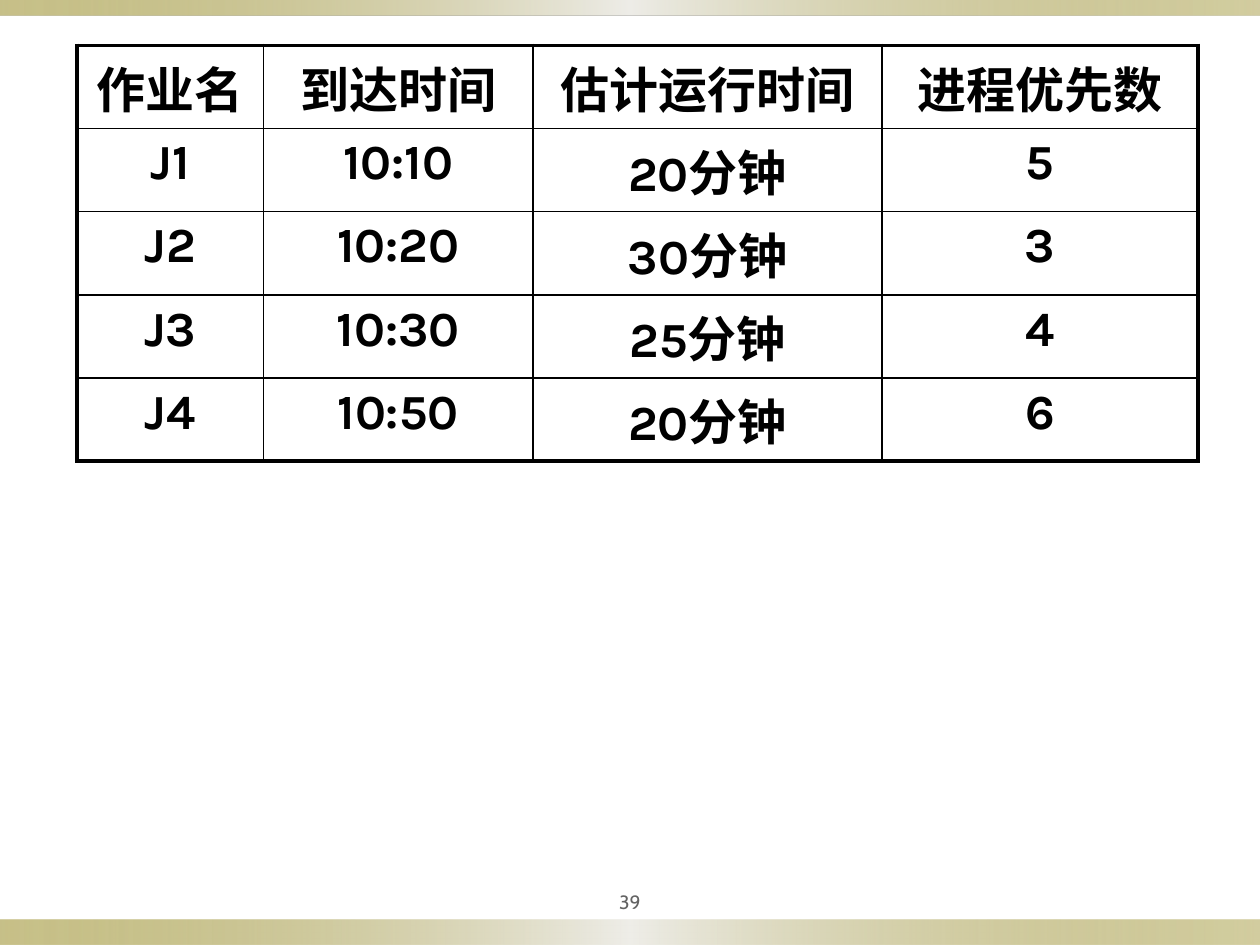
import copy
from dataclasses import dataclass

import lxml.etree
import pptx
import pptx.dml.color
import pptx.enum.shapes
import pptx.enum.text
import pptx.oxml.ns
import pptx.util

Inches = pptx.util.Inches
Pt = pptx.util.Pt
RGB = pptx.dml.color.RGBColor.from_string
qn = pptx.oxml.ns.qn
CENTER = pptx.enum.text.PP_ALIGN.CENTER


@dataclass(frozen=True)
class Theme:
    ink: str = "000000"
    muted: str = "636363"
    olive: str = "918415"
    pale: str = "EEEDE8"
    table_font: str = "Karla"
    number_font: str = "Cabin"
    table_size: int = 28
    number_size: int = 11
    outer_line: float = 2.25
    inner_line: float = 1


theme = Theme()


def style_text(paragraph, font_name, size, color, bold):
    paragraph.alignment = CENTER
    font = paragraph.runs[0].font
    font.name, font.size, font.bold = font_name, Pt(size), bold
    font.color.rgb = RGB(color)


def add_border(cell, side, width):
    """Draw one side (L, R, T or B) of a cell; call in that order, before the fill."""
    line = lxml.etree.SubElement(cell._tc.get_or_add_tcPr(), qn(f"a:ln{side}"), w=str(Pt(width)))
    fill = lxml.etree.SubElement(line, qn("a:solidFill"))
    lxml.etree.SubElement(fill, qn("a:srgbClr"), val=theme.ink)


deck = pptx.Presentation()
deck.slide_width, deck.slide_height = Inches(10), Inches(7.5)
slide = deck.slides.add_slide(deck.slide_layouts[6])

# Gold bands along the bottom and top edges
for top, height in [(7.3, 0.2), (0, 0.12)]:
    band = slide.shapes.add_shape(pptx.enum.shapes.MSO_SHAPE.RECTANGLE,
                                  0, Inches(top), Inches(10), Inches(height))
    band.shadow.inherit = False
    band.line.fill.background()
    band.fill.gradient()
    band.fill.gradient_angle = 0
    stop_list = band.fill._fill._gradFill.gsLst
    stop_list.insert(1, copy.deepcopy(stop_list[0]))
    stops = [(0, theme.olive, 50), (0.5, theme.pale, 100), (1, theme.olive, 40)]
    for stop, (position, color, opacity) in zip(band.fill.gradient_stops, stops):
        stop.position = position
        stop.color.rgb = RGB(color)
        color_xml = stop._gs.find(qn("a:srgbClr"))
        lxml.etree.SubElement(color_xml, qn("a:alpha"), val=str(opacity * 1000))

# Page number
page_number = slide.shapes.add_textbox(Inches(4.5), Inches(7), Inches(1), Inches(0.31)).text_frame
page_number.word_wrap = True
page_number.vertical_anchor = pptx.enum.text.MSO_ANCHOR.MIDDLE
page_number.margin_left = page_number.margin_right = Inches(0.05)
page_number.text = "39"
style_text(page_number.paragraphs[0], theme.number_font, theme.number_size, theme.muted, False)

# Job schedule
jobs = [
    ["作业名", "到达时间", "估计运行时间", "进程优先数"],
    ["J1", "10:10", "20分钟", "5"],
    ["J2", "10:20", "30分钟", "3"],
    ["J3", "10:30", "25分钟", "4"],
    ["J4", "10:50", "20分钟", "6"],
]
column_widths = [1.48, 2.14, 2.77, 2.51]
row_height = 0.66
last_row, last_column = len(jobs) - 1, len(column_widths) - 1
schedule = slide.shapes.add_table(len(jobs), len(column_widths), Inches(0.61), Inches(0.36),
                                  Inches(8.9), Inches(row_height * len(jobs))).table
schedule.first_row = schedule.horz_banding = False
for column, width in zip(schedule.columns, column_widths):
    column.width = Inches(width)

for r, job in enumerate(jobs):
    schedule.rows[r].height = Inches(row_height)
    for c, value in enumerate(job):
        cell = schedule.cell(r, c)
        cell.text_frame.text = value
        paragraph = cell.text_frame.paragraphs[0]
        style_text(paragraph, theme.table_font, theme.table_size, theme.ink, True)
        space_before = lxml.etree.SubElement(paragraph._p.get_or_add_pPr(), qn("a:spcBef"))
        lxml.etree.SubElement(space_before, qn("a:spcPct"), val="20000")
        on_edge = {"L": c == 0, "R": c == last_column, "T": r == 0, "B": r == last_row}
        for side, is_outer in on_edge.items():
            add_border(cell, side, theme.outer_line if is_outer else theme.inner_line)
        cell.fill.background()

deck.save("out.pptx")
